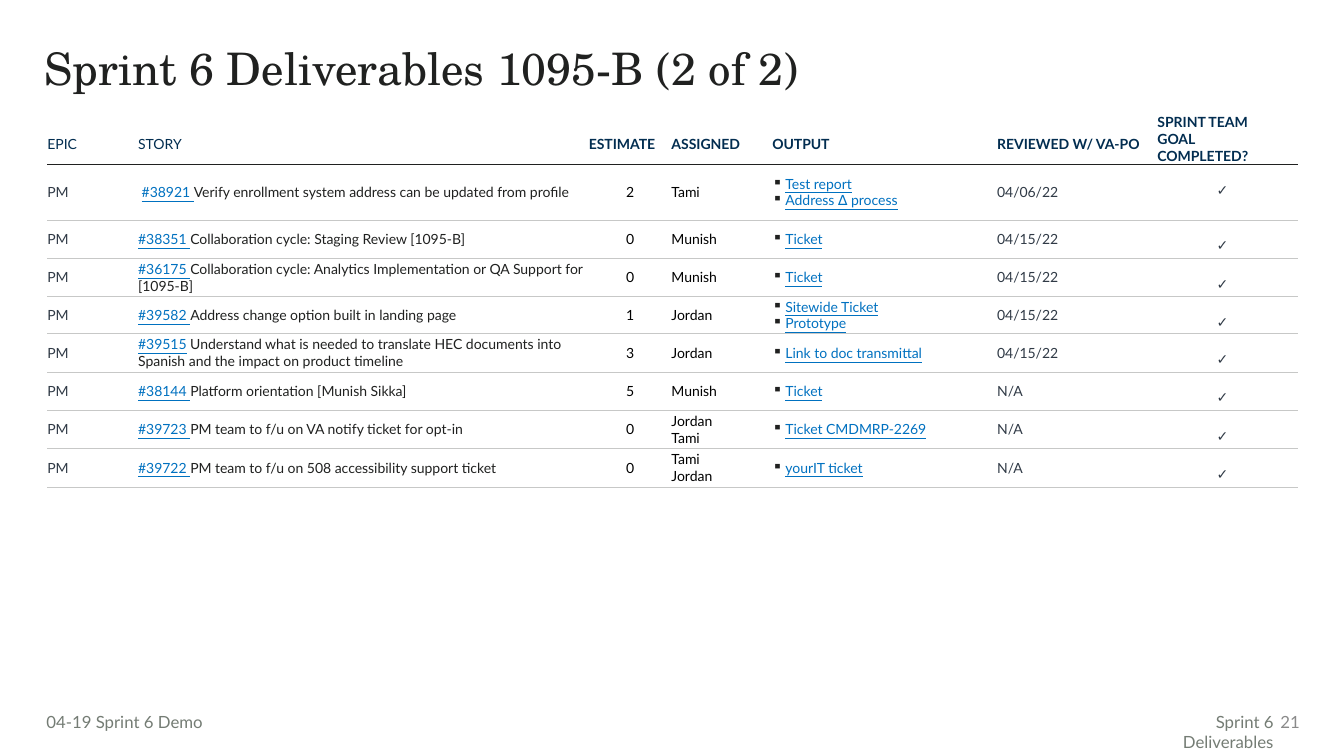
from pptx import Presentation
from pptx.dml.color import RGBColor as Rgb
from pptx.enum.text import MSO_ANCHOR as Anchor, PP_ALIGN as Align
from pptx.oxml import parse_xml
from pptx.oxml.ns import nsdecls, qn
from pptx.util import Inches, Pt

INK = Rgb(0x20, 0x21, 0x20)
NAVY = Rgb(0x02, 0x2D, 0x50)
SLATE = Rgb(0x30, 0x3A, 0x46)
BLUE = Rgb(0x00, 0x71, 0xC0)
BLACK = Rgb(0x00, 0x00, 0x00)
RULE = Rgb(0xC7, 0xC8, 0xC7)
PAGE = Rgb(0x8A, 0x8A, 0x8A)
FOOT = Rgb(0x74, 0x7C, 0x74)
PLAIN = "{2D5ABB26-0587-4C30-8999-92F81FD0307C}"

HEADS = ["EPIC", "STORY", "ESTIMATE", "ASSIGNED", "OUTPUT",
         "REVIEWED W/ VA-PO", "SPRINT TEAM GOAL COMPLETED?"]
COLS = [0.9, 4.47, 0.82, 1, 2.23, 1.49, 1.49]
ROWS = [0.4, 0.55, 0.38, 0.38, 0.37, 0.38, 0.38, 0.38, 0.38]
TASKS = [
    (" ", "#38921 ", "Verify enrollment system address can be updated from profile",
     "2", "Tami", ["Test report", "Address ∆ process"], "04/06/22"),
    ("", "#38351 ", "Collaboration cycle: Staging Review [1095-B]",
     "0", "Munish", ["Ticket"], "04/15/22"),
    ("", "#36175 ", "Collaboration cycle: Analytics Implementation or QA Support for [1095-B]",
     "0", "Munish", ["Ticket"], "04/15/22"),
    ("", "#39582 ", "Address change option built in landing page",
     "1", "Jordan", ["Sitewide Ticket", "Prototype"], "04/15/22"),
    ("", "#39515", " Understand what is needed to translate HEC documents into "
     "Spanish and the impact on product timeline",
     "3", "Jordan", ["Link to doc transmittal"], "04/15/22"),
    ("", "#38144 ", "Platform orientation [Munish Sikka]",
     "5", "Munish", ["Ticket"], "N/A"),
    ("", "#39723 ", "PM team to f/u on VA notify ticket for opt-in",
     "0", "Jordan Tami", ["Ticket CMDMRP-2269"], "N/A"),
    ("", "#39722 ", "PM team to f/u on 508 accessibility support ticket",
     "0", "Tami Jordan", ["yourIT ticket"], "N/A"),
]


class Deck:
    """Holds the fonts, the presentation and the current slide."""

    def __init__(self):
        self.serif, self.sans = "TeX Gyre Schola", "Lato"
        self.file = Presentation()
        self.file.slide_width, self.file.slide_height = Inches(13.33), Inches(7.5)
        self.slide = self.file.slides.add_slide(self.file.slide_layouts[6])

    def style(self, run, color, size=10, face=None, bold=False, line=False):
        font = run.font
        font.name, font.size = face or self.sans, Pt(size)
        font.bold, font.underline = bold, line
        font.color.rgb = color

    def inset(self, item, left, top, right, low):
        item.margin_left, item.margin_top = Inches(left), Inches(top)
        item.margin_right, item.margin_bottom = Inches(right), Inches(low)

    def text(self, words, area, color, size=12, face=None, align=Align.LEFT,
             left=0.1, anchor=Anchor.TOP, pitch=None):
        frame = self.slide.shapes.add_textbox(*map(Inches, area)).text_frame
        frame.word_wrap, frame.vertical_anchor = True, anchor
        self.inset(frame, left, 0.05, 0.1, 0.05)
        frame.text = words
        para = frame.paragraphs[0]
        para.alignment, para.line_spacing = align, pitch
        self.style(para.runs[0], color, size, face)

    def table(self, area, cols, rows):
        grid = self.slide.shapes.add_table(len(rows), len(cols), *map(Inches, area)).table
        grid._tbl.tblPr.find(qn("a:tableStyleId")).text = PLAIN
        grid.first_row = grid.horz_banding = False
        for col, width in zip(grid.columns, cols):
            col.width = Inches(width)
        for row, high in zip(grid.rows, rows):
            row.height = Inches(high)
        return grid

    def edge(self, cell, side, color, width):
        cell._tc.get_or_add_tcPr().append(parse_xml(
            f'<a:{side} {nsdecls("a")} w="{Pt(width)}"><a:solidFill>'
            f'<a:srgbClr val="{color}"/></a:solidFill></a:{side}>'))

    def cell(self, cell, words, color, bold=False, align=Align.LEFT,
             pad=(0, 0, 0, 0), anchor=Anchor.MIDDLE):
        self.inset(cell, *pad)
        cell.vertical_anchor = anchor
        cell.fill.background()
        cell.text_frame.text = words
        para = cell.text_frame.paragraphs[0]
        para.alignment = align
        for run in para.runs:
            self.style(run, color, bold=bold)

    def story(self, cell, lead, code, words):
        self.cell(cell, lead, INK)
        para = cell.text_frame.paragraphs[0]
        for part, color in ((code, BLUE), (words, INK)):
            run = para.add_run()
            run.text = part
            self.style(run, color, line=color == BLUE)

    def links(self, cell, names):
        self.cell(cell, "\n".join(names), BLUE)
        for para in cell.text_frame.paragraphs:
            props = para._p.get_or_add_pPr()
            props.set("marL", str(Inches(0.13)))
            props.set("indent", str(-Inches(0.13)))
            props.append(parse_xml(
                f'<a:buClr {nsdecls("a")}><a:srgbClr val="{INK}"/></a:buClr>'))
            props.append(parse_xml(f'<a:buChar {nsdecls("a")} char="▪"/>'))
            for run in para.runs:
                self.style(run, BLUE, line=True)


def main():
    deck = Deck()
    deck.text("Sprint 6 Deliverables 1095-B (2 of 2)", (0.34, 0.41, 12.42, 0.82),
              INK, 32, deck.serif, pitch=0.9)
    deck.text("21", (12.55, 6.96, 0.44, 0.4), PAGE, align=Align.RIGHT,
              anchor=Anchor.MIDDLE)

    grid = deck.table((0.47, 1.13, 12.39, 3.62), COLS, ROWS)
    last = len(HEADS) - 1
    for col, head in enumerate(HEADS):
        cell = grid.cell(0, col)
        deck.edge(cell, "lnB", INK, 1)
        pad = (0, 0.1, 0.1 if col < 4 else 0, 0) if col < last else (0.1, 0, 0.1, 0)
        deck.cell(cell, head, NAVY, bold=col > 1, pad=pad,
                  anchor=Anchor.MIDDLE if col < last else Anchor.TOP)

    for row, (lead, code, words, score, who, output, date) in enumerate(TASKS, 1):
        cells = [grid.cell(row, col) for col in range(len(COLS))]
        for cell in cells:
            deck.edge(cell, "lnT", *((INK, 1) if row == 1 else (RULE, 0.5)))
            deck.edge(cell, "lnB", RULE, 0.5)
        deck.cell(cells[0], "PM", SLATE, pad=(0, 0, 0.4, 0))
        deck.story(cells[1], lead, code, words)
        deck.cell(cells[2], score, BLACK, align=Align.CENTER)
        deck.cell(cells[3], who, BLACK, pad=(0, 0, 0.4, 0))
        deck.links(cells[4], output)
        deck.cell(cells[5], date, SLATE)
        deck.cell(cells[6], "✓", SLATE, align=Align.CENTER,
                  pad=(0, 0.17, 0, 0), anchor=Anchor.TOP)

    deck.text("Sprint 6 Deliverables", (11.09, 7.01, 1.64, 0.3), FOOT, align=Align.RIGHT)
    deck.text("04-19 Sprint 6 Demo", (0.46, 7.01, 2.98, 0.3), FOOT, left=0)
    deck.file.save("out.pptx")


if __name__ == "__main__":
    main()
